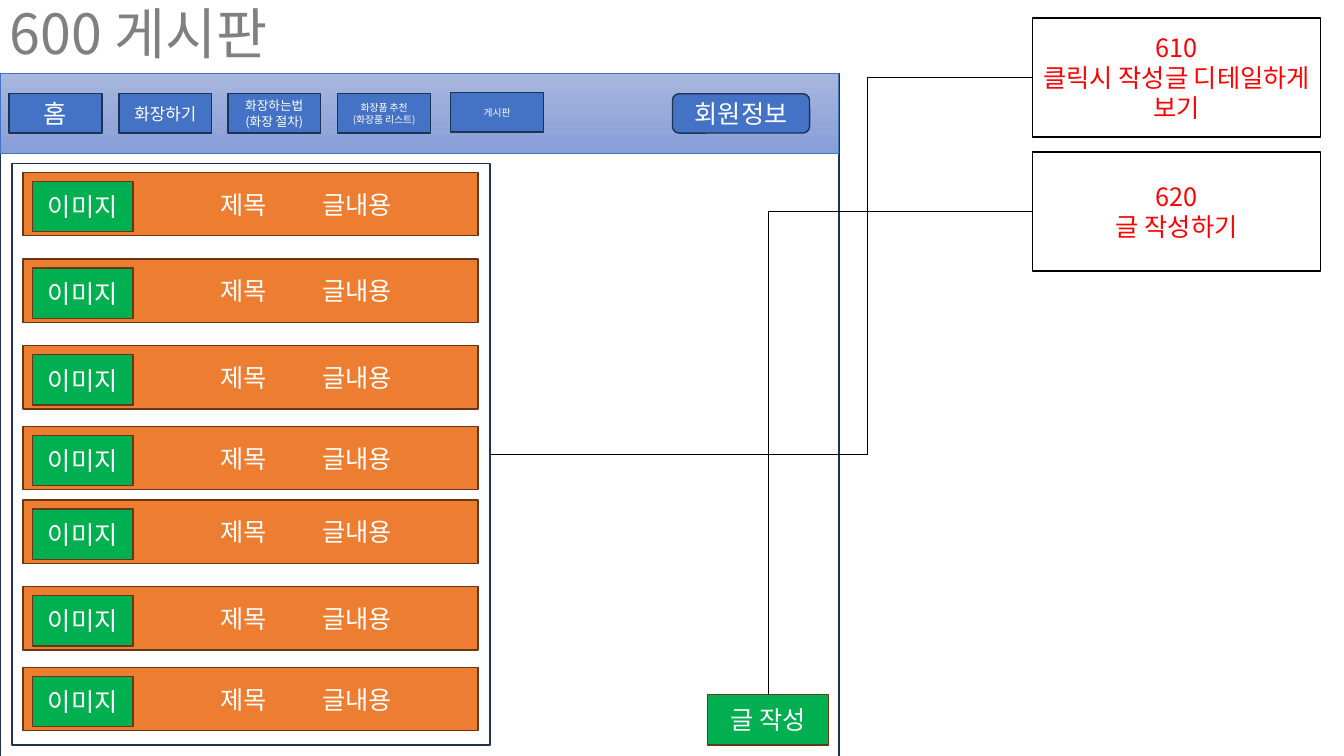
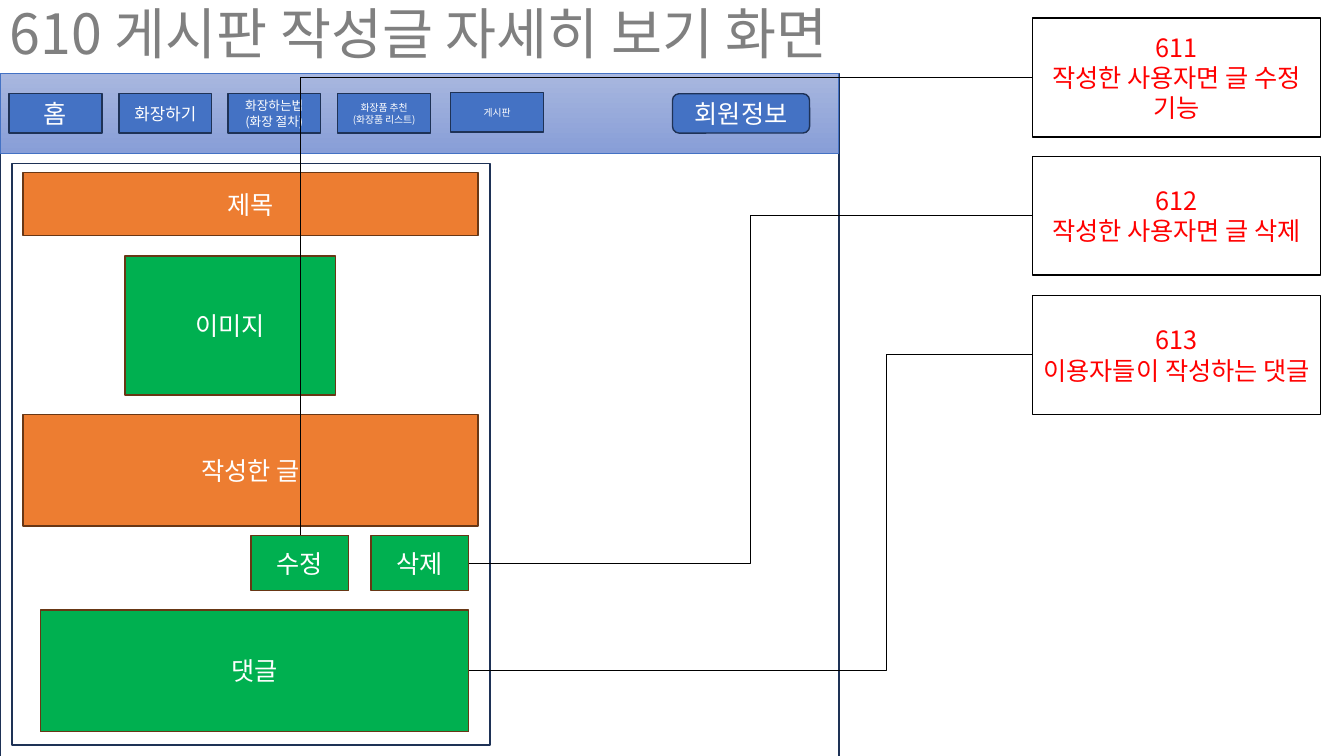
"""Build two wireframe slides of a bulletin board: the post list and the post detail."""
import pptx
import pptx.dml.color
import pptx.enum.shapes
import pptx.enum.text
import pptx.oxml.ns
import pptx.util
from lxml import etree

Inches = pptx.util.Inches
Pt = pptx.util.Pt
rgb = pptx.dml.color.RGBColor.from_string
qn = pptx.oxml.ns.qn
ALIGN = pptx.enum.text.PP_ALIGN
SHAPE = pptx.enum.shapes.MSO_SHAPE

FONT = "Noto Sans CJK KR"
WHITE, BLACK, RED, GRAY = "FFFFFF", "000000", "FF0000", "808080"
BLUE, NAVY = "4472C4", "1E3256"
ORANGE, GREEN, BROWN = "ED7D31", "00B050", "683715"
TOP, LEFT, RIGHT = 0, 1, 3

NAVIGATION = [
    ("홈", 0.09, 0.93, 18),
    ("화장하기", 1.18, 0.93, 12),
    ("화장하는법\v(화장 절차)", 2.26, 0.93, 9),
    ("화장품 추천\v(화장품 리스트)", 3.35, 0.93, 7),
    ("게시판", 4.47, 0.92, 7),
]
ROW_TOPS = [1.71, 2.57, 3.43, 4.23, 4.96, 5.82, 6.62]
ROW_TABS = [1.86, 2.87]

list_parts = []
for row_top in ROW_TOPS:
    list_parts += [
        ("\t제목\t글내용", 0.23, row_top, 4.51, 0.63, ORANGE),
        ("이미지", 0.32, row_top + 0.09, 1, 0.5, GREEN),
    ]
list_parts.append(("글 작성", 7.02, 6.89, 1.2, 0.5, GREEN))

detail_parts = [
    ("제목", 0.23, 1.71, 4.51, 0.63, ORANGE),
    ("이미지", 1.24, 2.54, 2.09, 1.38, GREEN),
    ("작성한 글", 0.23, 4.11, 4.51, 1.11, ORANGE),
    ("수정", 2.49, 5.31, 0.97, 0.55, GREEN),
    ("삭제", 3.68, 5.31, 0.97, 0.55, GREEN),
    ("댓글", 0.4, 6.05, 4.25, 1.21, GREEN),
]

SCREENS = [
    ("600 게시판", list_parts, [
        ("610\n클릭시 작성글 디테일하게 보기", 0.18, "panel", RIGHT, 0.305),
        ("620\n글 작성하기", 1.51, "글 작성", TOP, None),
    ]),
    ("610 게시판 작성글 자세히 보기 화면", detail_parts, [
        ("611\n작성한 사용자면 글 수정 기능", 0.18, "수정", TOP, None),
        ("612\n작성한 사용자면 글 삭제", 1.55, "삭제", RIGHT, 0.5),
        ("613\n이용자들이 작성하는 댓글", 2.93, "댓글", RIGHT, 0.26),
    ]),
]


def write_text(shape, text, size, color, alignment):
    frame = shape.text_frame
    frame.word_wrap = True
    frame.vertical_anchor = pptx.enum.text.MSO_ANCHOR.MIDDLE
    frame.text = text
    for paragraph in frame.paragraphs:
        paragraph.alignment = alignment
        paragraph.font.name = FONT
        paragraph.font.size = Pt(size)
        paragraph.font.color.rgb = rgb(color)
        properties = paragraph._p.get_or_add_pPr()
        etree.SubElement(properties.find(qn("a:defRPr")), qn("a:ea"), typeface=FONT)
        if "\t" in text:
            tabs = etree.Element(qn("a:tabLst"))
            for position in ROW_TABS:
                etree.SubElement(tabs, qn("a:tab"), pos=str(Inches(position)), algn="l")
            properties.insert(0, tabs)


def add_box(slide, left, top, width, height, fill, line, text="", size=18,
            color=WHITE, kind=SHAPE.RECTANGLE):
    shape = slide.shapes.add_shape(
        kind, Inches(left), Inches(top), Inches(width), Inches(height))
    shape.shadow.inherit = False
    if fill:
        shape.fill.solid()
        shape.fill.fore_color.rgb = rgb(fill)
    else:
        shape.fill.background()
    shape.line.color.rgb = rgb(line)
    shape.line.width = Pt(1)
    if text:
        write_text(shape, text, size, color, ALIGN.LEFT if "\t" in text else ALIGN.CENTER)
    return shape


presentation = pptx.Presentation()
presentation.slide_width = Inches(13.33)
presentation.slide_height = Inches(7.5)

for title, parts, notes in SCREENS:
    slide = presentation.slides.add_slide(presentation.slide_layouts[6])

    add_box(slide, 0, 0.73, 8.32, 6.88, None, NAVY)
    band = add_box(slide, 0, 0.73, 8.32, 0.79, BLUE, BLUE)
    band.line.width = Pt(0.5)
    band.fill.gradient()
    band.fill.gradient_angle = 270
    for stop, color in zip(band.fill.gradient_stops, ("A8B7DF", "889ED7")):
        stop.color.rgb = rgb(color)
    for label, left, top, size in NAVIGATION:
        add_box(slide, left, top, 0.92, 0.39, BLUE, NAVY, label, size)
    add_box(slide, 6.67, 0.93, 1.36, 0.39, BLUE, NAVY, "회원정보",
            kind=SHAPE.ROUNDED_RECTANGLE)

    title_box = slide.shapes.add_textbox(0, 0, Inches(11.5), Inches(0.73))
    write_text(title_box, title, 39.6, GRAY, ALIGN.LEFT)
    title_box.text_frame.paragraphs[0].line_spacing = 0.9

    targets = {"panel": add_box(slide, 0.12, 1.62, 4.74, 5.77, None, NAVY)}
    for label, left, top, width, height, fill in parts:
        targets[label] = add_box(slide, left, top, width, height, fill, BROWN, label)

    for text, top, target_name, side, bend in notes:
        note = add_box(slide, 10.24, top, 2.86, 1.18, WHITE, BLACK, text, color=RED)
        target = targets[target_name]
        connector = slide.shapes.add_connector(
            pptx.enum.shapes.MSO_CONNECTOR.ELBOW,
            note.left, note.top, target.left, target.top)
        connector.begin_connect(note, LEFT)
        connector.end_connect(target, side)
        connector.line.color.rgb = rgb(BLACK)
        connector.line.width = Pt(0.5)
        properties = connector._element.spPr
        etree.SubElement(properties, qn("a:effectLst"))
        geometry = properties.find(qn("a:prstGeom"))
        if bend is None:
            geometry.set("prst", "bentConnector2")
        else:
            etree.SubElement(geometry.find(qn("a:avLst")), qn("a:gd"),
                             name="adj1", fmla=f"val {round(bend * 100000)}")

presentation.save("out.pptx")
